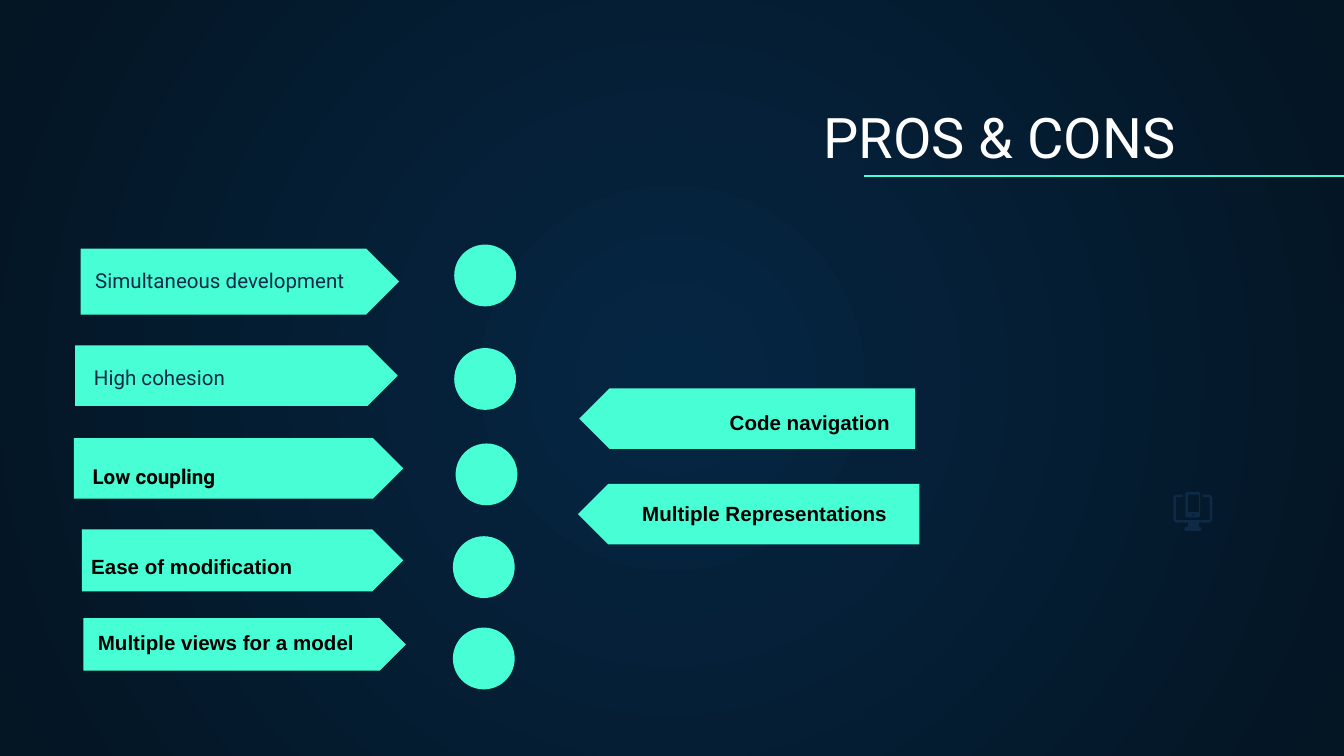
from dataclasses import dataclass

from lxml.etree import SubElement
from pptx import Presentation
from pptx.dml.color import RGBColor
from pptx.enum.shapes import MSO_CONNECTOR, MSO_SHAPE
from pptx.enum.text import MSO_ANCHOR as Anchor, MSO_AUTO_SIZE as AutoSize, PP_ALIGN as Align
from pptx.oxml.ns import qn
from pptx.util import Inches, Pt

SLIDE_WIDTH = 10
SLIDE_HEIGHT = SLIDE_WIDTH * 9 / 16
MINT, NAVY, BLACK, WHITE = "48FFD5", "0E2A47", "000000", "FFFFFF"
CIRCLE_SIZE = 0.46
Box = tuple[float, float, float, float]


@dataclass
class Label:
    text: str
    box: Box
    font: str = "Arial"
    size: float = 11
    color: str = BLACK
    bold: bool = True
    align: Align = Align.LEFT
    anchor: Anchor = Anchor.TOP
    margin: float = 0.05


@dataclass
class Banner:
    box: Box
    label: Label
    points_left: bool = False


def rgb(value: str) -> RGBColor:
    return RGBColor.from_string(value)


def paint(shape, color: str) -> None:
    shape.shadow.inherit = False
    shape.fill.solid()
    shape.fill.fore_color.rgb = rgb(color)
    shape.line.fill.background()


def write_label(shape, label: Label) -> None:
    shape.left, shape.top, shape.width, shape.height = map(Inches, label.box)
    frame = shape.text_frame
    frame.text = label.text
    frame.word_wrap = True
    frame.auto_size = AutoSize.NONE
    frame.vertical_anchor = label.anchor
    frame.margin_left = frame.margin_right = Inches(0.1)
    frame.margin_top = frame.margin_bottom = Inches(label.margin)
    paragraph = frame.paragraphs[0]
    paragraph.alignment = label.align
    font = paragraph.font
    font.name, font.size, font.bold = label.font, Pt(label.size), label.bold
    font.color.rgb = rgb(label.color)


def add_banner(slide, banner: Banner) -> None:
    shape = slide.shapes.add_shape(MSO_SHAPE.PENTAGON, *map(Inches, banner.box))
    shape.rotation = 180 if banner.points_left else 0
    paint(shape, MINT)
    write_label(slide.shapes.add_textbox(0, 0, 0, 0), banner.label)


def add_circle(slide, left: float, top: float) -> None:
    size = Inches(CIRCLE_SIZE)
    paint(slide.shapes.add_shape(MSO_SHAPE.OVAL, Inches(left), Inches(top), size, size), MINT)


def add_outline(group, contours: list[list[tuple[float, float]]]) -> None:
    """Draw closed contours whose points are in hundredths of an inch."""
    first, *others = contours
    builder = group.shapes.build_freeform(*first[0], scale=Inches(0.01))
    builder.add_line_segments(first[1:])
    for contour in others:
        builder.move_to(*contour[0])
        builder.add_line_segments(contour[1:])
    paint(builder.convert_to_shape(), NAVY)


def set_background(slide) -> None:
    fill = slide.background.fill
    fill.gradient()
    for stop, color in zip(fill.gradient_stops, ("052643", "041523")):
        stop.color.rgb = rgb(color)
    # Turn the linear gradient into a circular one
    gradient = slide.element.find(".//" + qn("a:gradFill"))
    gradient.remove(gradient.find(qn("a:lin")))
    circle = SubElement(gradient, qn("a:path"), {"path": "circle"})
    SubElement(circle, qn("a:fillToRect"), {side: "50000" for side in "ltrb"})


TITLE = Label("PROS & CONS", (0.28, 0.7, 8.57, 0.66), "Roboto", 30, WHITE, False,
              Align.RIGHT, Anchor.BOTTOM, 0.1)


def roboto_label(text: str, box: Box, color: str = NAVY, bold: bool = False) -> Label:
    return Label(text, box, "Roboto", color=color, bold=bold, anchor=Anchor.BOTTOM, margin=0.1)


BANNERS = [
    # Pros
    Banner((0.6, 1.85, 2.37, 0.49),
           roboto_label("Simultaneous development", (0.61, 2.11, 2.15, 0.13))),
    Banner((0.56, 2.57, 2.4, 0.45),
           roboto_label("High cohesion", (0.6, 2.62, 7.35, 0.38))),
    Banner((0.55, 3.26, 2.45, 0.45),
           roboto_label("Low coupling", (0.59, 3.18, 7.51, 0.56), BLACK, True)),
    Banner((0.61, 3.94, 2.39, 0.46), Label("Ease of modification", (0.58, 4.07, 1.88, 0.29))),
    Banner((0.62, 4.6, 2.4, 0.39), Label("Multiple views for a model", (0.63, 4.64, 2.27, 0.29))),
    # Cons
    Banner((4.31, 2.89, 2.5, 0.45),
           Label("Code navigation", (4.67, 3, 2.05, 0.29), align=Align.RIGHT), True),
    Banner((4.3, 3.6, 2.54, 0.45),
           Label("Multiple Representations", (4.68, 3.68, 2.06, 0.29)), True),
]
CIRCLES = [(3.38, 1.82), (3.38, 2.59), (3.39, 3.3), (3.37, 3.99), (3.37, 4.67)]

MONITOR = [[
    (875, 368), (873, 370), (873, 387), (875, 389), (884, 389), (884, 392), (882, 392),
    (881, 394), (882, 395), (893, 395), (894, 394), (893, 392), (892, 392), (892, 389),
    (900, 389), (902, 387), (902, 370), (900, 368), (895, 368), (895, 370), (900, 370),
    (900, 387), (875, 387), (875, 370), (880, 370), (880, 368), (875, 368)]]
PHONE = [
    [(883, 366), (882, 367), (882, 384), (883, 385), (892, 385), (893, 384), (893, 367),
     (892, 366), (883, 366)],
    [(892, 368), (892, 381), (884, 381), (884, 368), (892, 368)],
    [(888, 382), (887, 383), (888, 384), (889, 383), (888, 382)]]


def main() -> None:
    presentation = Presentation()
    presentation.slide_width = Inches(SLIDE_WIDTH)
    presentation.slide_height = Inches(SLIDE_HEIGHT)
    slide = presentation.slides.add_slide(presentation.slide_layouts[5])
    set_background(slide)

    # Title and its rule
    write_label(slide.shapes.title, TITLE)
    rule = slide.shapes.add_connector(
        MSO_CONNECTOR.STRAIGHT, Inches(6.43), Inches(1.31), Inches(10.09), Inches(1.31))
    rule.line.color.rgb = rgb(MINT)
    rule.line.width = Pt(0.75)
    SubElement(rule.element.spPr, qn("a:effectLst"))

    # Pros, cons and circles
    for banner in BANNERS:
        add_banner(slide, banner)
    for left, top in CIRCLES:
        add_circle(slide, left, top)

    # Monitor and phone icon
    icon = slide.shapes.add_group_shape()
    for contours in (MONITOR, PHONE):
        add_outline(icon, contours)

    presentation.save("out.pptx")


if __name__ == "__main__":
    main()
